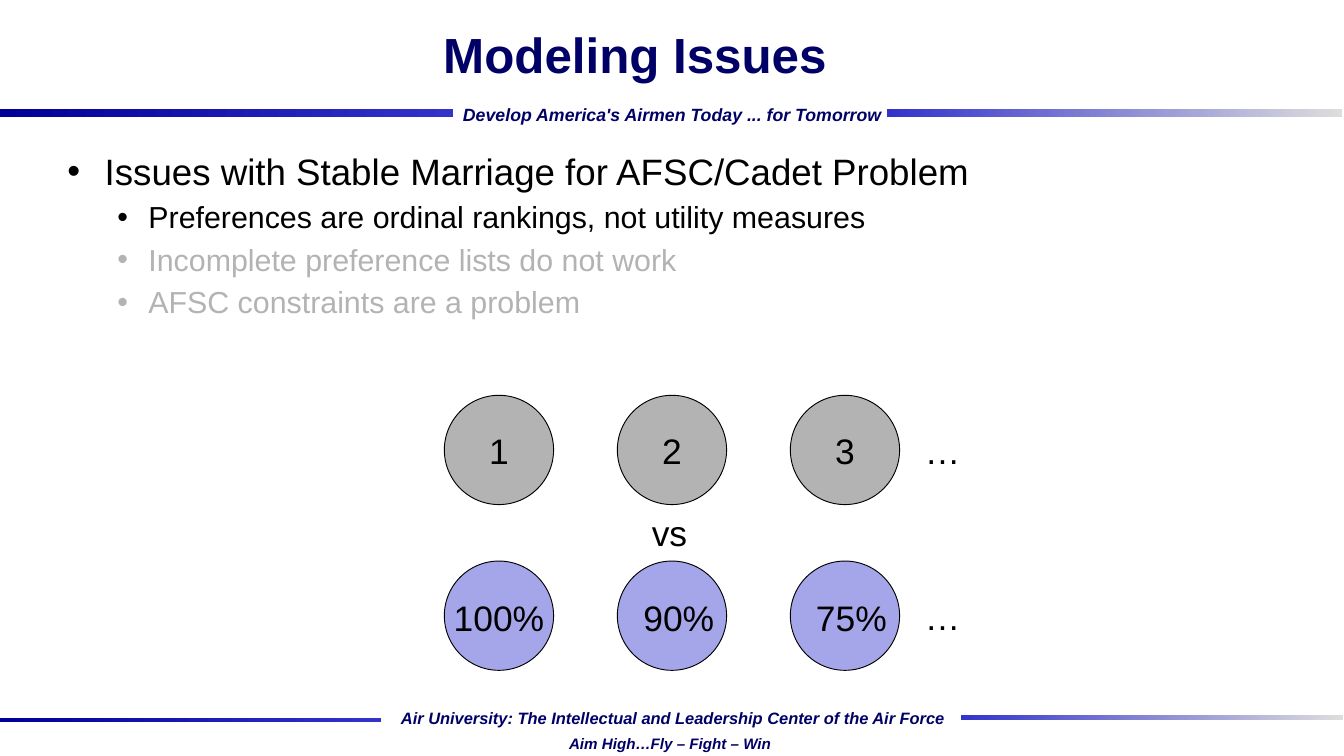
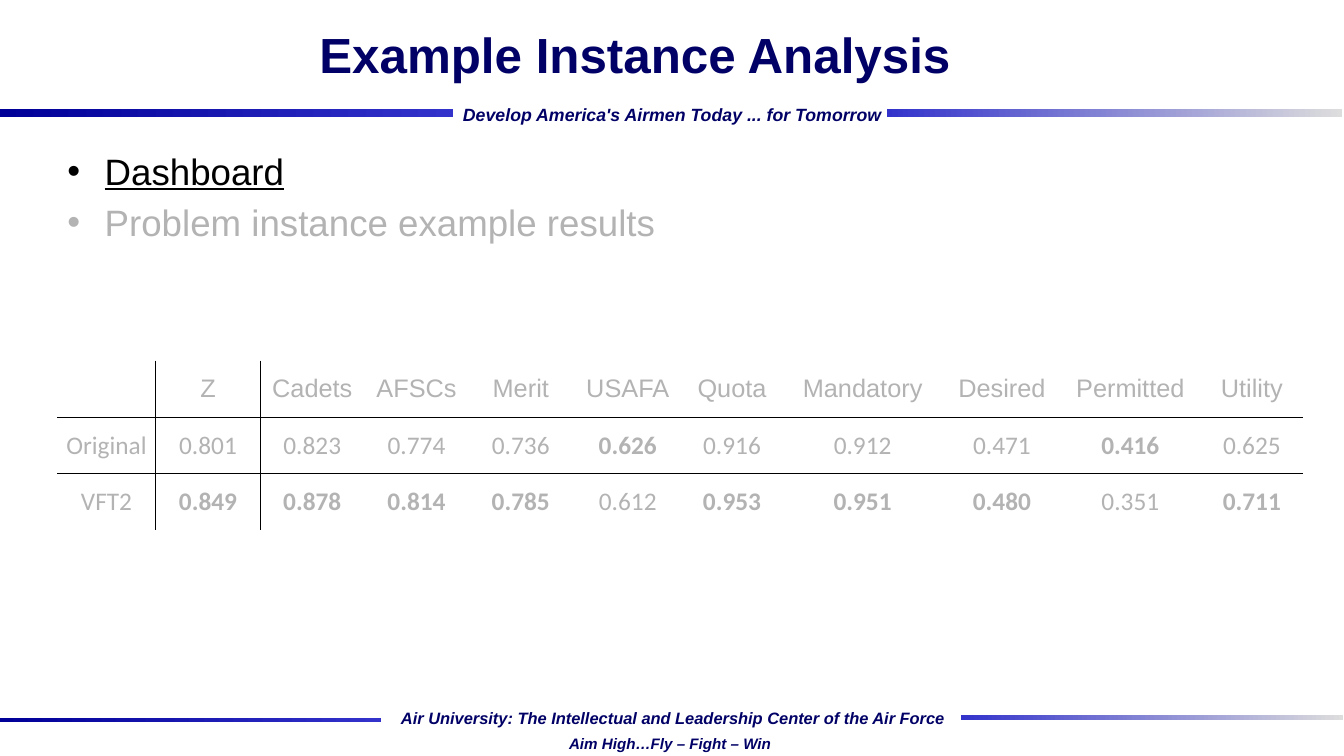
import dataclasses
import itertools

import pptx
import pptx.dml.color
import pptx.enum.shapes
import pptx.enum.text
import pptx.oxml
import pptx.oxml.ns
import pptx.util

PX = 9144  # EMU in one px, 100 px to the inch
SLIDE_SIZE = (1476, 830)
PLAIN_TABLE_STYLE = "{2D5ABB26-0587-4C30-8999-92F81FD0307C}"
ALIGN = pptx.enum.text.PP_ALIGN
ANCHOR = pptx.enum.text.MSO_ANCHOR


@dataclasses.dataclass(frozen=True)
class Theme:
    font: str = "Arial"
    figure_font: str = "Calibri"
    navy: str = "000066"
    deep_blue: str = "000099"
    blue: str = "3333CC"
    silver: str = "DDDDDD"
    black: str = "000000"
    white: str = "FFFFFF"
    gray: str = "B3B3B3"
    lavender: str = "A5A5E9"
    title_size: int = 39
    label_size: int = 28
    table_size: int = 20
    circle_line: float = 0.75
    rule_width: int = 1
    bullet_sizes: tuple = (29, 24)
    bullet_indents: tuple = ((41, 41), (89, 34))  # text left, hanging
    paragraph_gap: float = 0.2  # share of the type size


THEME = Theme()

# Shared furniture: box, then gradient colours or motto and size
BANDS = [
    ((974, 120, 500, 9), (THEME.blue, THEME.silver)),
    ((-2, 120, 500, 9), (THEME.deep_blue, THEME.blue)),
    ((-2, 788, 420, 5), (THEME.deep_blue, THEME.blue)),
    ((1055, 785, 420, 5), (THEME.blue, THEME.silver)),
]
MOTTOS = [
    ((497, 109, 483, 34), "Develop America's Airmen Today ... for Tomorrow", 14),
    ((426, 772, 625, 31),
     "Air University: The Intellectual and Leadership Center of the Air Force", 13),
    ((612, 801, 248, 29), "Aim High…Fly – Fight – Win", 12),
]
TITLE_BOX = (126, 0, 1143, 117)
BODY_LEFT, BODY_TOP, BODY_HEIGHT = 63, 158, 607

# Bullets: level, text, colour, underlined
MODELING_BULLETS = [
    (0, "Issues with Stable Marriage for AFSC/Cadet Problem", THEME.black, False),
    (1, "Preferences are ordinal rankings, not utility measures", THEME.black, False),
    (1, "Incomplete preference lists do not work", THEME.gray, False),
    (1, "AFSC constraints are a problem", THEME.gray, False),
]
ANALYSIS_BULLETS = [
    (0, "Dashboard", THEME.black, True),
    (0, "Problem instance example results", THEME.gray, False),
]

# Circle rows: top, fill, top inset, labels with their left inset
CIRCLE_ROWS = [
    (434, THEME.gray, 0, [("1", 0), ("2", 0), ("3", 0)]),
    (616, THEME.lavender, 3, [("100%", 0), ("90%", 15), ("75%", 14)]),
]
CIRCLE_LEFT, CIRCLE_STEP, CIRCLE_SIZE = 488, 190, 120
ELLIPSIS_LEFT, ELLIPSIS_DROP, ELLIPSIS_SIZE = 1006, 32, (54, 57)
VERSUS_BOX = (706, 556, 64, 57)

SCORE_HEADER = ["", "Z", "Cadets", "AFSCs", "Merit", "USAFA", "Quota",
                "Mandatory", "Desired", "Permitted", "Utility"]
SCORES = [
    ["Original", "0.801", "0.823", "0.774", "0.736", "0.626", "0.916",
     "0.912", "0.471", "0.416", "0.625"],
    ["VFT2", "0.849", "0.878", "0.814", "0.785", "0.612", "0.953",
     "0.951", "0.480", "0.351", "0.711"],
]
COLUMN_WIDTHS = [108, 115, 114, 115, 114, 121, 108, 179, 127, 155, 112]
TABLE_LEFT, TABLE_TOP, ROW_HEIGHT = 63, 396, 62


def emu(*lengths):
    return [length * PX for length in lengths]


def rgb(color):
    return pptx.dml.color.RGBColor.from_string(color)


def set_margins(target, left, top, right, bottom):
    (target.margin_left, target.margin_top,
     target.margin_right, target.margin_bottom) = emu(left, top, right, bottom)


def style(paragraph, size, color, font=THEME.font, bold=False, italic=False,
          underline=False, align=ALIGN.LEFT):
    paragraph.alignment = align
    for run in paragraph.runs:
        run.font.name, run.font.size = font, pptx.util.Pt(size)
        run.font.bold, run.font.italic = bold, italic
        run.font.underline = underline
        run.font.color.rgb = rgb(color)


def add_text(slide, box, text, size, color, wrap=True, anchor=ANCHOR.TOP, **styling):
    text_frame = slide.shapes.add_textbox(*emu(*box)).text_frame
    text_frame.word_wrap = wrap
    text_frame.vertical_anchor = anchor
    set_margins(text_frame, 10, 5, 10, 5)
    text_frame.text = text
    style(text_frame.paragraphs[0], size, color, **styling)


def add_band(slide, box, colors):
    band = slide.shapes.add_shape(
        pptx.enum.shapes.MSO_SHAPE.RECTANGLE, *emu(*box))
    band.shadow.inherit = False
    band.line.fill.background()
    band.fill.gradient()
    band.fill.gradient_angle = 0
    for stop, color in zip(band.fill.gradient_stops, colors):
        stop.color.rgb = rgb(color)


def add_bullets(slide, width, bullets):
    box = (BODY_LEFT, BODY_TOP, width, BODY_HEIGHT)
    text_frame = slide.shapes.add_textbox(*emu(*box)).text_frame
    text_frame.word_wrap = True
    set_margins(text_frame, 11, 5, 11, 5)
    for index, (level, text, color, underline) in enumerate(bullets):
        paragraph = text_frame.add_paragraph() if index else text_frame.paragraphs[0]
        paragraph.text = text
        paragraph.level = level
        size = THEME.bullet_sizes[level]
        if index:
            paragraph.space_before = pptx.util.Pt(round(size * THEME.paragraph_gap, 1))
        left, hanging = emu(*THEME.bullet_indents[level])
        properties = paragraph._p.get_or_add_pPr()
        properties.set("marL", str(left))
        properties.set("indent", str(-hanging))
        namespace = pptx.oxml.ns.nsdecls("a")
        for element in (f'<a:buFont {namespace} typeface="{THEME.font}"/>',
                        f'<a:buChar {namespace} char="•"/>'):
            properties.append(pptx.oxml.parse_xml(element))
        style(paragraph, size, color, underline=underline)


def add_circle(slide, left, top, color, label, left_inset, top_inset):
    circle = slide.shapes.add_shape(
        pptx.enum.shapes.MSO_SHAPE.OVAL, *emu(left, top, CIRCLE_SIZE, CIRCLE_SIZE))
    circle.shadow.inherit = False
    circle.fill.solid()
    circle.fill.fore_color.rgb = rgb(color)
    circle.line.color.rgb = rgb(THEME.black)
    circle.line.width = pptx.util.Pt(THEME.circle_line)
    text_frame = circle.text_frame
    text_frame.word_wrap = False
    text_frame.vertical_anchor = ANCHOR.MIDDLE
    set_margins(text_frame, left_inset, top_inset, 0, 0)
    text_frame.text = label
    style(text_frame.paragraphs[0], THEME.label_size, THEME.black, align=ALIGN.CENTER)


def add_borders(cell, sides):
    """Rule the given sides, named in the schema order L, R, T, B."""
    properties = cell._tc.get_or_add_tcPr()
    for side in sides:
        properties.append(pptx.oxml.parse_xml(
            f'<a:ln{side} {pptx.oxml.ns.nsdecls("a")} '
            f'w="{pptx.util.Pt(THEME.rule_width)}"><a:solidFill>'
            f'<a:srgbClr val="{THEME.black}"/></a:solidFill></a:ln{side}>'))


def add_score_table(slide):
    rows = [SCORE_HEADER] + SCORES
    best = [max(column) for column in zip(*SCORES)]
    table = slide.shapes.add_table(
        len(rows), len(SCORE_HEADER),
        *emu(TABLE_LEFT, TABLE_TOP, sum(COLUMN_WIDTHS), ROW_HEIGHT * len(rows))).table
    table.first_row = table.horz_banding = False
    table_style = table._tbl.tblPr.find(pptx.oxml.ns.qn("a:tableStyleId"))
    table_style.text = PLAIN_TABLE_STYLE
    for column, width in zip(table.columns, COLUMN_WIDTHS):
        column.width = width * PX
    for row in table.rows:
        row.height = ROW_HEIGHT * PX
    for r, c in itertools.product(range(len(rows)), range(len(SCORE_HEADER))):
        cell = table.cell(r, c)
        add_borders(cell, {0: "R", 1: "L"}.get(c, "") + {0: "B", 1: "T"}.get(r, ""))
        cell.fill.solid()
        cell.fill.fore_color.rgb = rgb(THEME.white)
        cell.vertical_anchor = ANCHOR.MIDDLE
        set_margins(cell, *((1, 1, 1, 0) if r else (10, 5, 10, 5)))
        if rows[r][c]:
            cell.text = rows[r][c]
            style(cell.text_frame.paragraphs[0], THEME.table_size, THEME.gray,
                  font=THEME.figure_font if r else THEME.font,
                  bold=r > 0 and c > 0 and rows[r][c] == best[c], align=ALIGN.CENTER)


def add_base_slide(presentation, title, body_width, bullets):
    slide = presentation.slides.add_slide(presentation.slide_layouts[6])
    for box, colors in BANDS:
        add_band(slide, box, colors)
    for box, motto, size in MOTTOS:
        add_text(slide, box, motto, size, THEME.navy, wrap=False,
                 bold=True, italic=True, align=ALIGN.CENTER)
    add_text(slide, TITLE_BOX, title, THEME.title_size, THEME.navy,
             anchor=ANCHOR.MIDDLE, bold=True, align=ALIGN.CENTER)
    add_bullets(slide, body_width, bullets)
    return slide


def add_rankings(slide):
    for top, color, top_inset, labels in CIRCLE_ROWS:
        for index, (label, left_inset) in enumerate(labels):
            add_circle(slide, CIRCLE_LEFT + index * CIRCLE_STEP, top, color,
                       label, left_inset, top_inset)
        add_text(slide, (ELLIPSIS_LEFT, top + ELLIPSIS_DROP, *ELLIPSIS_SIZE), "…",
                 THEME.label_size, THEME.black)
    add_text(slide, VERSUS_BOX, "vs", THEME.label_size, THEME.black)


def main():
    presentation = pptx.Presentation()
    presentation.slide_width, presentation.slide_height = emu(*SLIDE_SIZE)
    add_rankings(
        add_base_slide(presentation, "Modeling Issues", 1269, MODELING_BULLETS))
    add_score_table(
        add_base_slide(presentation, "Example Instance Analysis", 1348, ANALYSIS_BULLETS))
    presentation.save("out.pptx")


if __name__ == "__main__":
    main()
